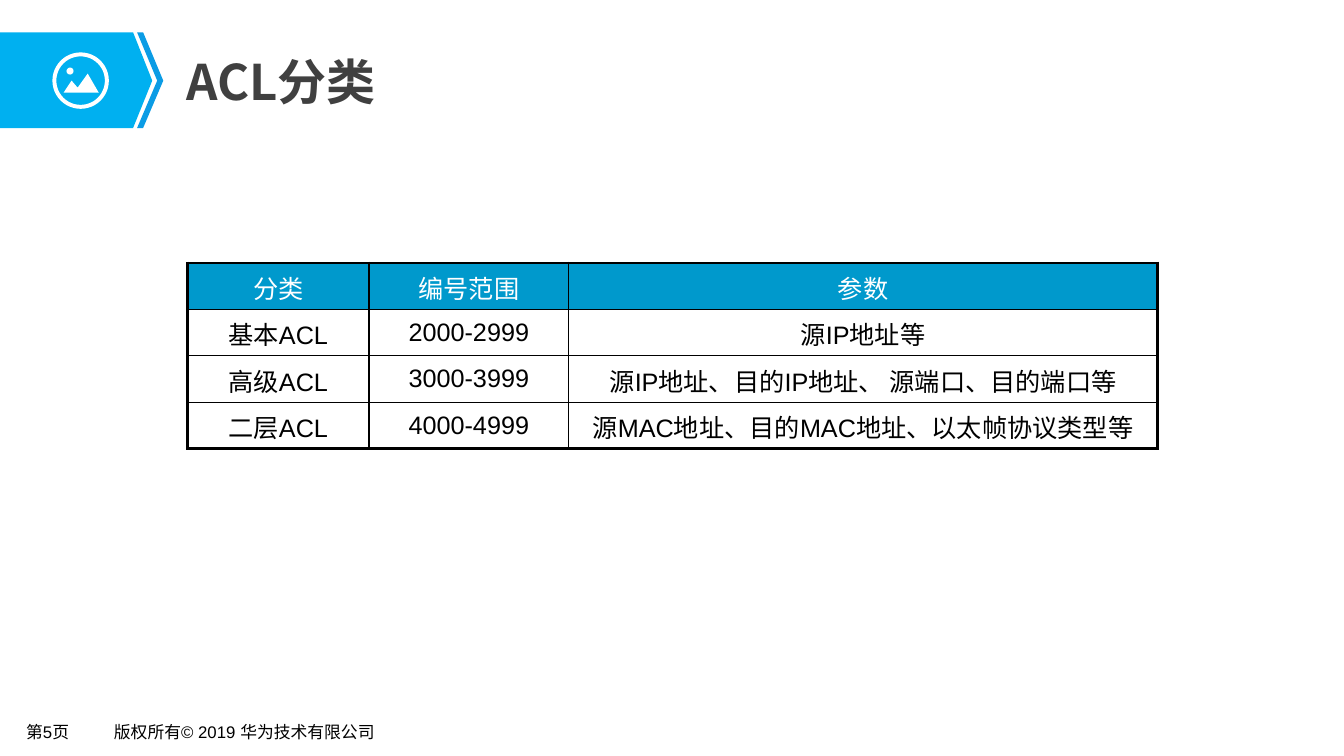
import pptx
import pptx.util
import pptx.dml.color
import pptx.enum.shapes
import pptx.enum.text
import pptx.oxml
import pptx.oxml.ns

Inches = pptx.util.Inches
Pt = pptx.util.Pt
RGB = pptx.dml.color.RGBColor
SHAPE = pptx.enum.shapes.MSO_SHAPE
ALIGN = pptx.enum.text.PP_ALIGN
ANCHOR = pptx.enum.text.MSO_ANCHOR

BLACK = RGB(0, 0, 0)
WHITE = RGB(255, 255, 255)
GRAY = RGB(0x40, 0x40, 0x40)
SKY = RGB(0x00, 0xB0, 0xF0)
BLUE = RGB(0x0B, 0x9C, 0xE5)
TEAL = RGB(0x00, 0x99, 0xCC)
SANS = "Noto Sans CJK SC"

TITLE = "ACL分类"
FOOTER = [("第5页", 0.17, 0.74), ("版权所有© 2019 华为技术有限公司", 1.04, 2.85)]
ROWS = [
    ("分类", "编号范围", "参数"),
    ("基本ACL", "2000-2999", "源IP地址等"),
    ("高级ACL", "3000-3999", "源IP地址、目的IP地址、 源端口、目的端口等"),
    ("二层ACL", "4000-4999", "源MAC地址、目的MAC地址、以太帧协议类型等"),
]
WIDTHS = [1.8, 1.98, 5.84]
HIGH = 0.46
THICK, THIN = 2.25, 1

ARROW = [(0, 0.32), (1.32, 0.32), (1.51, 0.8), (1.32, 1.27), (0, 1.27)]
STRIPE = [(1.36, 0.32), (1.42, 0.32), (1.62, 0.8), (1.42, 1.27), (1.36, 1.27), (1.56, 0.8)]
PEAKS = [(0.63, 0.92), (0.71, 0.8), (0.77, 0.87), (0.87, 0.73), (0.98, 0.92)]

deck = pptx.Presentation()
deck.slide_width, deck.slide_height = Inches(13.33), Inches(7.5)
slide = deck.slides.add_slide(deck.slide_layouts[6])
shapes = slide.shapes


def write(text, frame, size=18, color=BLACK, font="Arial", bold=False, align=ALIGN.LEFT):
    para = frame.paragraphs[0]
    para.alignment = align
    run = para.add_run()
    run.text = text
    run.font.size = Pt(size)
    run.font.bold = bold
    run.font.name = font
    run.font.color.rgb = color
    east = pptx.oxml.parse_xml(f'<a:ea {pptx.oxml.ns.nsdecls("a")} typeface="{SANS}"/>')
    run.font._element.find(pptx.oxml.ns.qn("a:latin")).addnext(east)


def add_box(left, top, width, height, pad, wrap):
    frame = shapes.add_textbox(*map(Inches, (left, top, width, height))).text_frame
    frame.word_wrap = wrap
    frame.margin_left = frame.margin_right = Inches(pad)
    frame.margin_top = frame.margin_bottom = Inches(pad / 2)
    frame.vertical_anchor = ANCHOR.MIDDLE
    return frame


def paint(shape, color):
    shape.shadow.inherit = False
    shape.fill.solid()
    shape.fill.fore_color.rgb = color
    shape.line.fill.background()


def add_path(points, color):
    dots = [(Inches(x), Inches(y)) for x, y in points]
    path = shapes.build_freeform(*dots[0], scale=1.0)
    path.add_line_segments(dots[1:], close=True)
    paint(path.convert_to_shape(), color)


def add_round(kind, left, top, size):
    disc = shapes.add_shape(kind, *map(Inches, (left, top, size, size)))
    paint(disc, WHITE)
    return disc


def set_edges(cell, edges):
    props = cell._tc.get_or_add_tcPr()
    for spot, (side, width) in enumerate(edges):
        line = pptx.oxml.parse_xml(
            f'<a:ln{side} {pptx.oxml.ns.nsdecls("a")} w="{Pt(width)}">'
            f'<a:solidFill><a:srgbClr val="{BLACK}"/></a:solidFill></a:ln{side}>')
        props.insert(spot, line)


def add_grid():
    last_row, last_col = len(ROWS) - 1, len(WIDTHS) - 1
    area = map(Inches, (1.86, 2.61, sum(WIDTHS), HIGH * len(ROWS)))
    grid = shapes.add_table(len(ROWS), len(WIDTHS), *area).table
    grid.first_row = grid.horz_banding = False
    for col, width in zip(grid.columns, WIDTHS):
        col.width = Inches(width)
    for r, row in enumerate(ROWS):
        grid.rows[r].height = Inches(HIGH)
        for c, text in enumerate(row):
            cell = grid.cell(r, c)
            cell.margin_left = cell.margin_right = Inches(0.11)
            cell.margin_top = cell.margin_bottom = Inches(0.06)
            if r == 0:
                cell.fill.solid()
                cell.fill.fore_color.rgb = TEAL
            else:
                cell.fill.background()
                cell.vertical_anchor = ANCHOR.MIDDLE
            write(text, cell.text_frame, color=BLACK if r else WHITE, align=ALIGN.CENTER)
            outer = [("L", c == 0), ("R", c == last_col), ("T", r == 0), ("B", r == last_row)]
            set_edges(cell, [(side, THICK if edge else THIN) for side, edge in outer])


def main():
    for text, left, width in FOOTER:
        write(text, add_box(left, 7.11, width, 0.29, 0.09, False), size=12)
    add_path(ARROW, SKY)
    add_path(STRIPE, BLUE)
    ring = add_round(SHAPE.DONUT, 0.52, 0.52, 0.56)
    ring.adjustments[0] = 0.07
    add_path(PEAKS, WHITE)
    add_round(SHAPE.OVAL, 0.66, 0.67, 0.07)
    write(TITLE, add_box(1.74, 0.45, 10.75, 0.7, 0.11, True),
          size=35, color=GRAY, font=SANS, bold=True)
    add_grid()
    deck.save("out.pptx")


if __name__ == "__main__":
    main()
